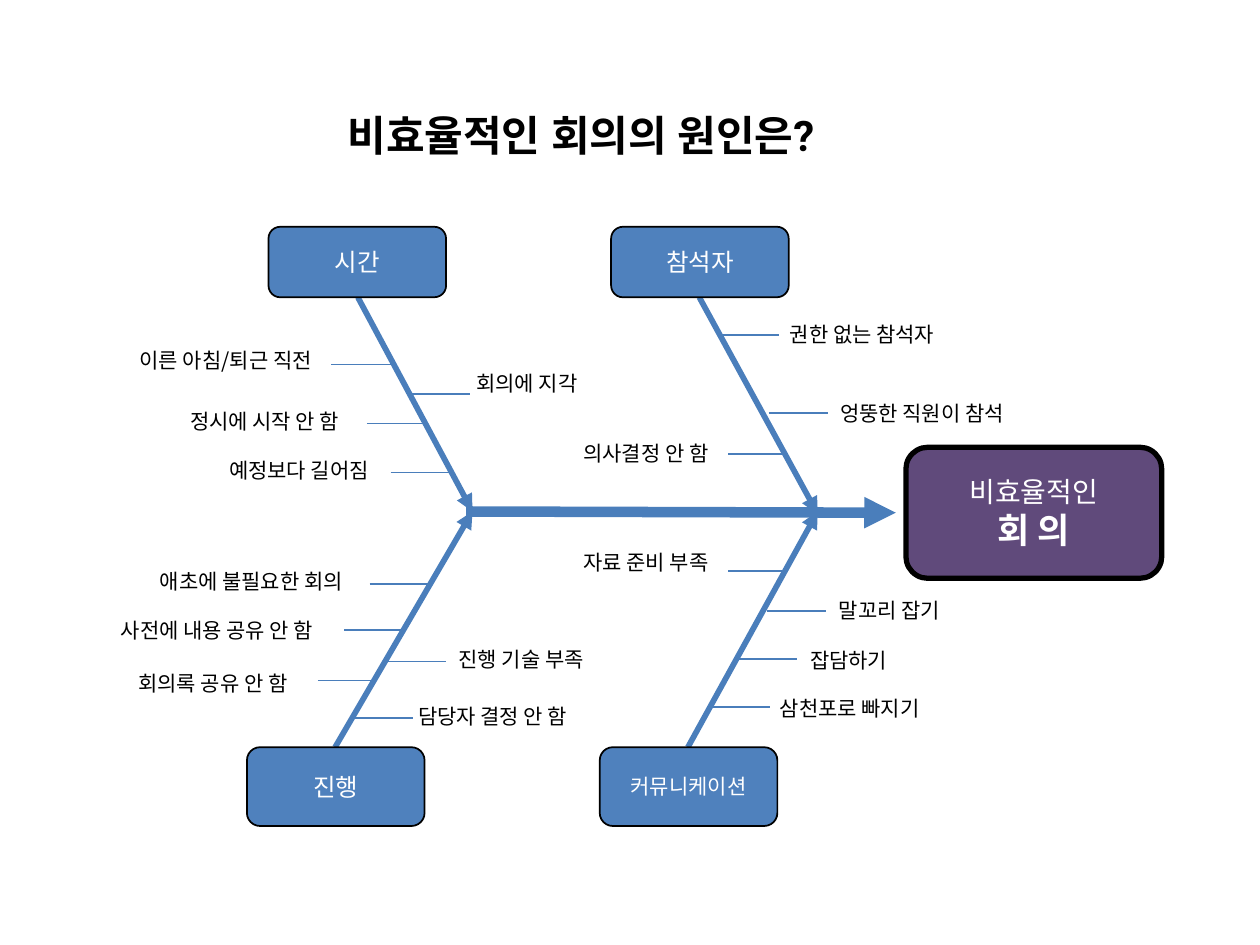
"""Build a fishbone diagram slide on the causes of inefficient meetings."""
from lxml import etree
from pptx import Presentation
from pptx.dml.color import RGBColor
from pptx.enum import shapes, text
from pptx.oxml.ns import qn
from pptx.util import Pt

BLACK = RGBColor(0, 0, 0)
WHITE = RGBColor(255, 255, 255)
LINE_BLUE = RGBColor(0x4A, 0x7E, 0xBB)
BOX_BLUE = RGBColor(0x4F, 0x81, 0xBD)
PURPLE = RGBColor(0x60, 0x4A, 0x7B)
FONT = "Noto Sans CJK KR"
TWIG = 33.8


def set_font(p, size, color, name=FONT, bold=False):
    f = p.font
    f.size, f.bold, f.name = Pt(size), bold, name
    f.color.rgb = color
    etree.SubElement(f._element, qn("a:ea"), typeface=name)


def add_line(x1, y1, x2, y2, width, arrow=False):
    c = s.shapes.add_connector(shapes.MSO_CONNECTOR.STRAIGHT, Pt(x1), Pt(y1), Pt(x2), Pt(y2))
    c.line.color.rgb = LINE_BLUE
    c.line.width = Pt(width)
    if arrow:
        etree.SubElement(c.line._get_or_add_ln(), qn("a:tailEnd"), type="triangle")
    etree.SubElement(c._element.spPr, qn("a:effectLst"))


prs = Presentation()
prs.slide_width, prs.slide_height = Pt(720), Pt(540)
s = prs.slides.add_slide(prs.slide_layouts[5])

title = s.shapes.title
title.left, title.top, title.width, title.height = Pt(151.9), Pt(59), Pt(360), Pt(36)
tf = title.text_frame
tf.text = "비효율적인 회의의 원인은?"
tf.auto_size = text.MSO_AUTO_SIZE.NONE
tf.vertical_anchor = text.MSO_ANCHOR.TOP
tf.paragraphs[0].alignment = text.PP_ALIGN.CENTER
set_font(tf.paragraphs[0], 24, BLACK, "Roboto", True)

bones = [
    (204.5, 169.9, 270, 292.3),
    (399.6, 169.9, 467.3, 293.8),
    (191.5, 427, 270, 292.3),
    (393.1, 427, 467.3, 292.3),
]
for bone in bones:
    add_line(*bone, 3.25, arrow=True)
add_line(266.4, 292.3, 511.9, 293, 6, arrow=True)

causes = [
    ("이른 아침/퇴근 직전", 72.7, 195.1, 140.4, 189.4, 208.3),
    ("정시에 시작 안 함", 101.5, 229.7, 140.4, 209.7, 242),
    ("예정보다 길어짐", 123.8, 257.8, 140.4, 223.2, 270),
    ("회의에 지각", 265, 208.1, 90, 234.7, 225),
    ("애초에 불필요한 회의", 84.2, 321.1, 151.9, 211.2, 333.8),
    ("사전에 내용 공유 안 함", 61.9, 349.2, 140.4, 196.6, 360),
    ("회의록 공유 안 함", 72, 379.4, 140.4, 181.6, 388.9),
    ("진행 기술 부족", 254.9, 365.8, 140.4, 220.8, 378),
    ("담당자 결정 안 함", 231.8, 398.2, 140.4, 202.4, 410.4),
    ("권한 없는 참석자", 444.2, 180, 128.9, 411.2, 191.4),
    ("엉뚱한 직원이 참석", 473, 225.4, 140.4, 439.2, 236.2),
    ("의사결정 안 함", 326.2, 248.4, 100.8, 416.2, 259.4),
    ("자료 준비 부족", 326.2, 310.3, 101.5, 416.2, 326.4),
    ("말꼬리 잡기", 472.3, 337.7, 140.4, 438.3, 349.2),
    ("잡담하기", 455.8, 366.5, 101.5, 421.9, 376.8),
    ("삼천포로 빠지기", 438.5, 393.8, 140.4, 406.3, 404),
]
for label, x, y, w, twig_x, twig_y in causes:
    tf = s.shapes.add_textbox(Pt(x), Pt(y), Pt(w), Pt(21.6)).text_frame
    tf.word_wrap = True
    tf.auto_size = text.MSO_AUTO_SIZE.SHAPE_TO_FIT_TEXT
    tf.text = label
    set_font(tf.paragraphs[0], 12, BLACK)
    add_line(twig_x, twig_y, twig_x + TWIG, twig_y, 1)

boxes = [
    ("비효율적인", 517.7, 255.6, 146.2, 74.9, PURPLE, 3, 16),
    ("시간", 153.4, 129.6, 101.5, 40.3, BOX_BLUE, 1, 14),
    ("참석자", 349.2, 129.6, 101.5, 40.3, BOX_BLUE, 1, 14),
    ("진행", 141.1, 427, 101.5, 45, BOX_BLUE, 1, 14),
    ("커뮤니케이션", 342.7, 427, 101.5, 45, BOX_BLUE, 1, 12),
]
for label, x, y, w, h, fill, border, size in boxes:
    sp = s.shapes.add_shape(shapes.MSO_SHAPE.ROUNDED_RECTANGLE, Pt(x), Pt(y), Pt(w), Pt(h))
    sp.shadow.inherit = False
    sp.fill.solid()
    sp.fill.fore_color.rgb = fill
    sp.line.color.rgb = BLACK
    sp.line.width = Pt(border)
    tf = sp.text_frame
    tf.text = label
    tf.vertical_anchor = text.MSO_ANCHOR.MIDDLE
    p = tf.paragraphs[0]
    p.alignment = text.PP_ALIGN.CENTER
    set_font(p, size, WHITE)
    if fill == PURPLE:
        p.add_line_break()
        r = p.add_run()
        r.text = "회 의"
        r.font.size, r.font.bold = Pt(20), True

prs.save("out.pptx")
